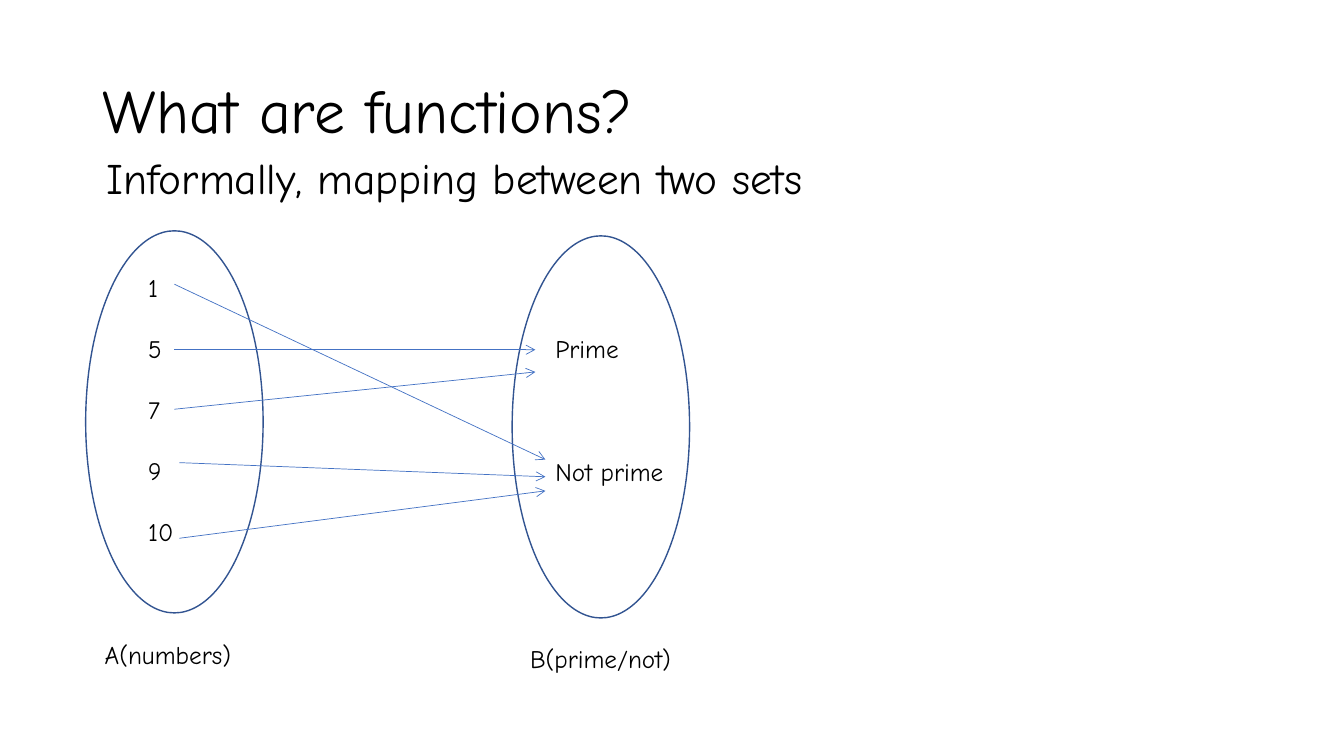
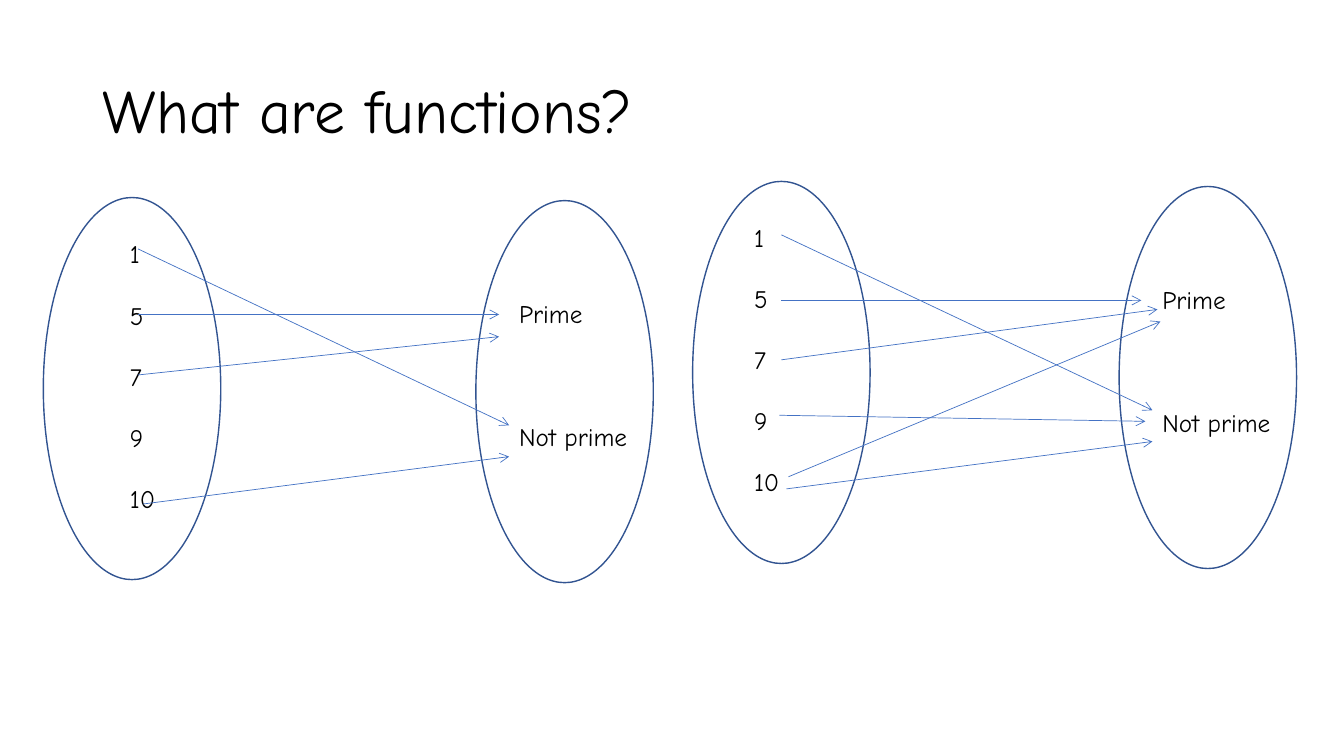
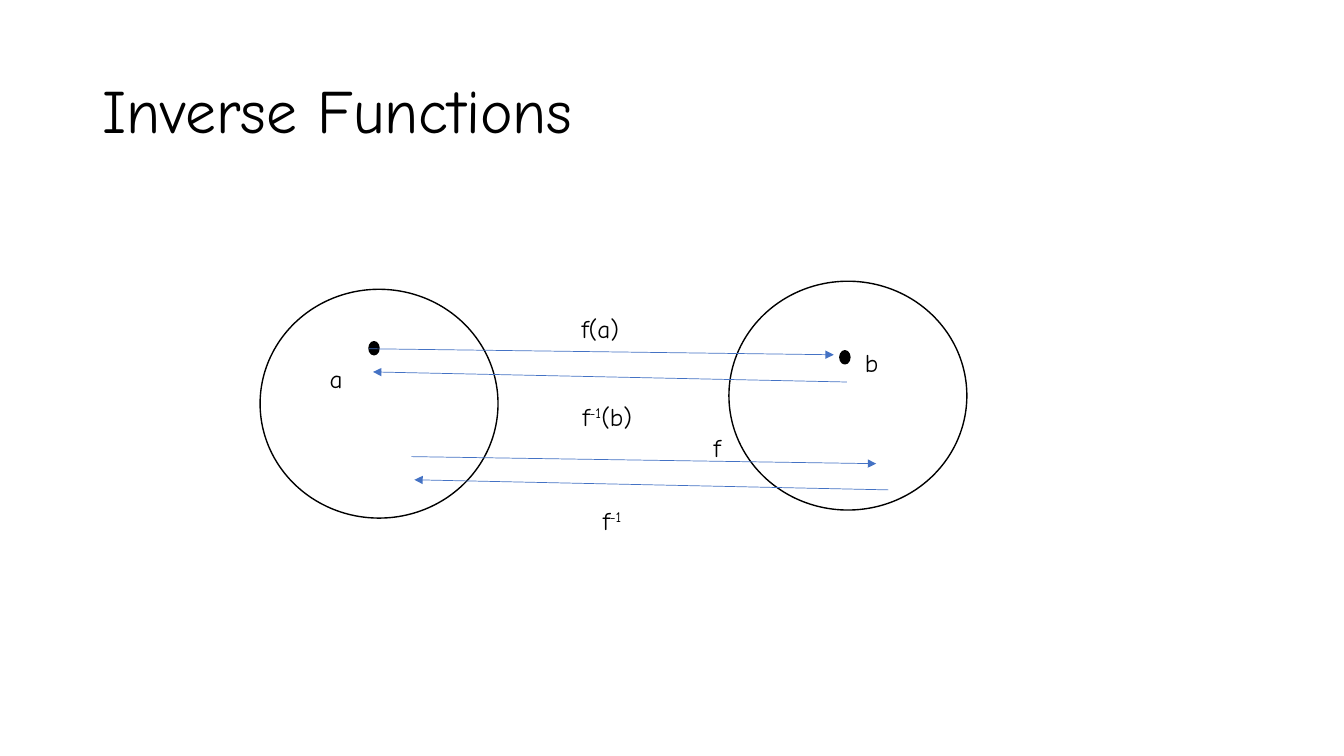
"""Build three slides on functions, mappings between sets and inverse functions."""
from lxml import etree
from pptx import Presentation
from pptx import util as u
from pptx.dml.color import RGBColor
from pptx.enum import shapes, text
from pptx.oxml import ns

FONT = "Comic Neue"
BLACK, WHITE, OUTLINE, ARROW = "000000", "FFFFFF", "325491", "4472C4"
BODY_SIZE = 18
BLANK_LINE = 22
SET_SIZE = (1.76, 3.79)
CIRCLE_SIZE = (2.36, 2.27)
DOT_SIZE = (0.1, 0.13)
ITEMS_DROP = 0.36
RESULTS_OFFSET = (0.33, 0.92)

NUMBERS = ["1", "5", "7", "9", "10"]
RESULTS = ["Prime", "Not prime"]

FUNCTION = {
    "domain": (0.85, 2.29), "items_left": 1.37, "codomain": (5.08, 2.34),
    "arrows": [(1.73, 2.82, 5.41, 4.56), (1.73, 3.47, 5.31, 3.47),
               (1.73, 4.06, 5.31, 3.69), (1.78, 4.59, 5.41, 4.73),
               (1.78, 5.34, 5.41, 4.87)],
}
UNMAPPED_ITEM = {
    "domain": (0.43, 1.96), "items_left": 1.19, "codomain": (4.72, 1.99),
    "arrows": [(1.37, 2.47, 5.05, 4.22), (1.37, 3.12, 4.95, 3.12),
               (1.37, 3.72, 4.95, 3.34), (1.42, 5, 5.05, 4.53)],
}
DOUBLE_MAPPED_ITEM = {
    "domain": (6.87, 1.8), "items_left": 7.38, "codomain": (11.1, 1.85),
    "arrows": [(7.75, 2.33, 11.43, 4.07), (7.75, 2.98, 11.32, 2.98),
               (7.75, 3.57, 11.48, 3.07), (7.8, 4.85, 11.43, 4.38),
               (7.73, 4.12, 11.36, 4.18), (7.82, 4.73, 11.51, 3.19)],
}
SLIDES = [
    ("What are functions?", [FUNCTION]),
    ("What are functions?", [UNMAPPED_ITEM, DOUBLE_MAPPED_ITEM]),
    ("Inverse Functions", []),
]

CIRCLES = [(2.58, 2.87), (7.23, 2.79)]
DOTS = [(3.66, 3.39), (8.33, 3.48)]
INVERSE_ARROWS = [(3.66, 3.46, 8.27, 3.52), (8.4, 3.79, 3.7, 3.69),
                  (4.08, 4.53, 8.69, 4.6), (8.81, 4.86, 4.11, 4.76)]
INVERSE_LABELS = [
    (3.17, 3.56, 0.45, ["a"]),
    (8.48, 3.4, 0.45, ["b"]),
    (5.67, 3.06, 0.7, ["f(a)"]),
    (5.68, 3.93, 1.82, ["f", "-1", "(b)"]),
    (6.98, 4.24, 0.7, ["f"]),
    (5.88, 4.96, 0.71, ["f", "-1"]),
]


def color(value):
    return RGBColor.from_string(value)


def add_text(slide, box, lines, size=BODY_SIZE, gap=0, spacing=None, before=None, middle=False):
    frame = slide.shapes.add_textbox(*map(u.Inches, box)).text_frame
    frame.word_wrap = True
    frame.vertical_anchor = text.MSO_ANCHOR.MIDDLE if middle else text.MSO_ANCHOR.TOP
    for index, line in enumerate(lines):
        paragraph = frame.add_paragraph() if index else frame.paragraphs[0]
        paragraph.font.name = FONT
        paragraph.font.size = u.Pt(size)
        paragraph.font.color.rgb = color(BLACK)
        paragraph.line_spacing = spacing
        paragraph.space_before = u.Pt(gap) if index else before
        paragraph.add_run().text = line
    return frame.paragraphs[0]


def add_ellipse(slide, corner, size, line, fill=None):
    ellipse = slide.shapes.add_shape(shapes.MSO_SHAPE.OVAL, *map(u.Inches, corner + size))
    ellipse.shadow.inherit = False
    ellipse.line.color.rgb = color(line)
    ellipse.line.width = u.Pt(1)
    if fill:
        ellipse.fill.solid()
        ellipse.fill.fore_color.rgb = color(fill)
    else:
        ellipse.fill.background()


def add_arrow(slide, ends, head):
    arrow = slide.shapes.add_connector(shapes.MSO_CONNECTOR.STRAIGHT, *map(u.Inches, ends))
    arrow.line.color.rgb = color(ARROW)
    arrow.line.width = u.Pt(0.5)
    properties = arrow.line._get_or_add_ln()
    etree.SubElement(properties, ns.qn("a:tailEnd")).set("type", head)
    etree.SubElement(properties.getparent(), ns.qn("a:effectLst"))


def add_mapping(slide, mapping):
    domain, codomain = mapping["domain"], mapping["codomain"]
    add_ellipse(slide, domain, SET_SIZE, OUTLINE)
    add_text(slide, (mapping["items_left"], domain[1] + ITEMS_DROP, 0.65, 2.83),
             NUMBERS, gap=BLANK_LINE)
    add_ellipse(slide, codomain, SET_SIZE, OUTLINE)
    results_left, results_top = (a + b for a, b in zip(codomain, RESULTS_OFFSET))
    add_text(slide, (results_left, results_top, 1.61, 1.62), RESULTS, gap=3 * BLANK_LINE)
    for ends in mapping["arrows"]:
        add_arrow(slide, ends, "arrow")


def add_inverse(slide):
    for corner in CIRCLES:
        add_ellipse(slide, corner, CIRCLE_SIZE, BLACK, WHITE)
    for corner in DOTS:
        add_ellipse(slide, corner, DOT_SIZE, BLACK, BLACK)
    for ends in INVERSE_ARROWS:
        add_arrow(slide, ends, "triangle")
    for left, top, width, (base, *rest) in INVERSE_LABELS:
        paragraph = add_text(slide, (left, top, width, 0.4), [base])
        for part in rest:
            run = paragraph.add_run()
            run.text = part
            if part == "-1":
                run._r.get_or_add_rPr().set("baseline", "30000")


presentation = Presentation()
presentation.slide_width = u.Inches(13.33)
presentation.slide_height = u.Inches(7.5)
slides = []
for title, mappings in SLIDES:
    slide = presentation.slides.add_slide(presentation.slide_layouts[6])
    add_text(slide, (0.92, 0.4, 11.5, 1.45), [title], size=44, spacing=0.9, middle=True)
    for mapping in mappings:
        add_mapping(slide, mapping)
    slides.append(slide)

intro, _, inverse = slides
add_text(intro, (0.96, 1.59, 11.4, 0.47), ["Informally, mapping between two sets"],
         size=31, spacing=0.7, before=u.Pt(10))
add_text(intro, (0.94, 6.33, 2.43, 0.47), ["A(numbers)"], spacing=0.9, before=u.Pt(10))
add_text(intro, (5.16, 6.33, 1.76, 0.4), ["B(prime/not)"])
add_inverse(inverse)
presentation.save("out.pptx")
